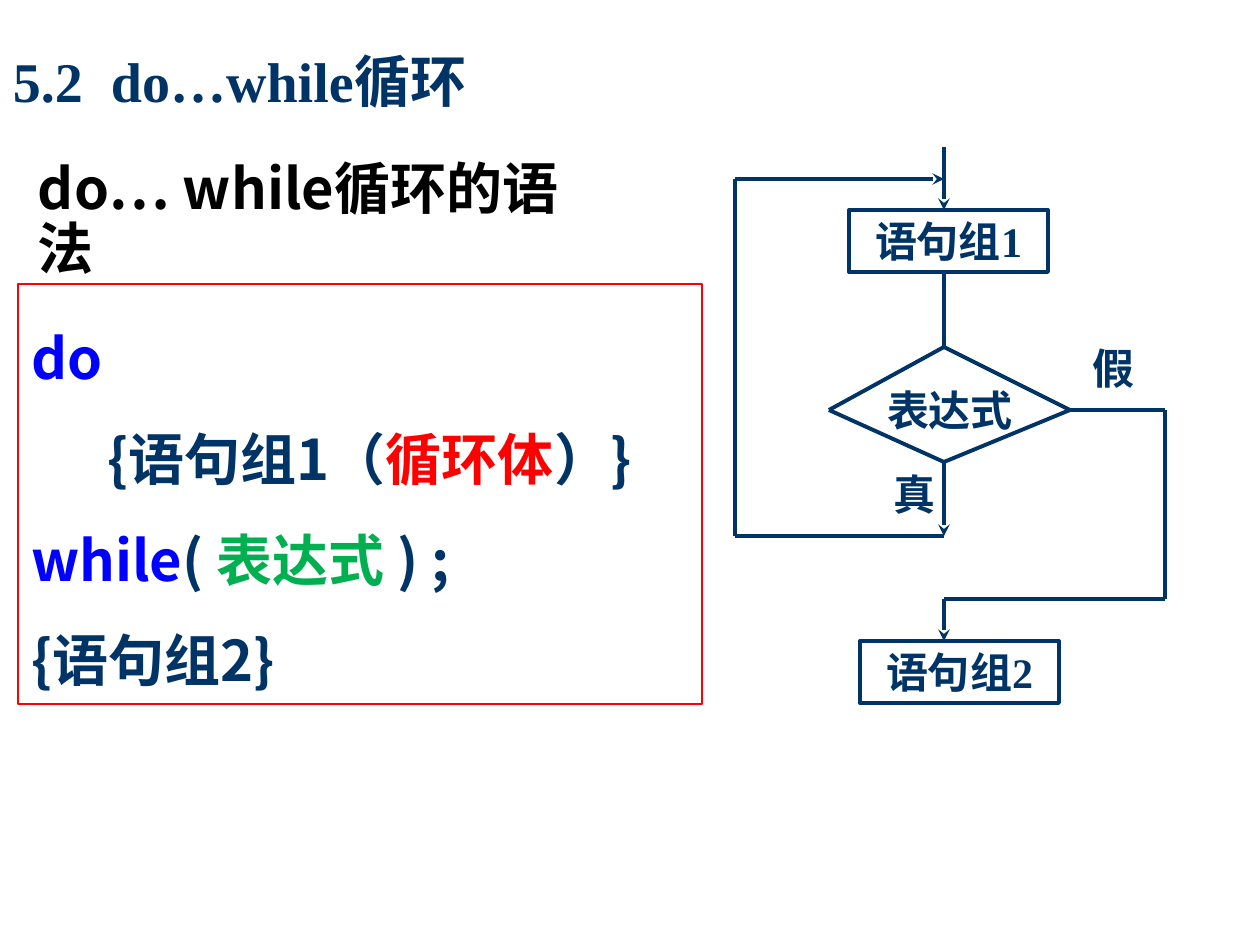
from lxml import etree
from pptx import Presentation
from pptx.dml.color import RGBColor
from pptx.enum.shapes import MSO_CONNECTOR, MSO_SHAPE
from pptx.enum.text import MSO_ANCHOR, MSO_AUTO_SIZE, PP_ALIGN
from pptx.oxml.ns import qn
from pptx.util import Emu, Pt

STRAIGHT = MSO_CONNECTOR.STRAIGHT
RECTANGLE = MSO_SHAPE.RECTANGLE
TOP, BOTTOM = MSO_ANCHOR.TOP, MSO_ANCHOR.BOTTOM
GROW = MSO_AUTO_SIZE.SHAPE_TO_FIT_TEXT
NO_RESIZE = MSO_AUTO_SIZE.NONE
LEFT, CENTER = PP_ALIGN.LEFT, PP_ALIGN.CENTER
SCALE = 914400 / 126
NAVY, BLUE, RED, GREEN, BLACK = "003366", "0000FF", "FF0000", "00B050", "000000"
SANS, SERIF = "Noto Sans CJK SC", "Times New Roman"


def px(length):
    return Emu(round(length * SCALE))


def color(value):
    return RGBColor.from_string(value)


def write(shape, lines, size=32, font=SANS, align=LEFT, spacing=1.0,
          anchor=TOP, inset=(13, 6), auto_size=NO_RESIZE):
    frame = shape.text_frame
    frame.word_wrap = True
    frame.auto_size = auto_size
    frame.vertical_anchor = anchor
    frame.margin_left = frame.margin_right = px(inset[0])
    frame.margin_top = frame.margin_bottom = px(inset[1])
    for index, line in enumerate(lines):
        paragraph = frame.add_paragraph() if index else frame.paragraphs[0]
        paragraph.alignment = align
        paragraph.line_spacing = spacing
        for text, text_color in line:
            run = paragraph.add_run()
            run.text = text
            run.font.name = font
            run.font.size = Pt(size)
            run.font.bold = True
            run.font.color.rgb = color(text_color)
            east_asian = etree.SubElement(run.font._element, qn("a:ea"))
            east_asian.set("typeface", SANS)


class SlideBuilder:
    label_style = {"size": 24, "font": SERIF, "spacing": 1.1,
                   "inset": (2, 1), "auto_size": GROW}

    def __init__(self, slide):
        self.slide = slide

    def text(self, box, lines, **style):
        shape = self.slide.shapes.add_textbox(*map(px, box))
        write(shape, lines, **style)

    def label(self, box, text, align=LEFT):
        self.text(box, [[(text, NAVY)]], align=align, **self.label_style)

    def box(self, box, lines, line_color, line_width, **style):
        shape = self.slide.shapes.add_shape(RECTANGLE, *map(px, box))
        shape.shadow.inherit = False
        shape.fill.background()
        shape.line.color.rgb = color(line_color)
        shape.line.width = Pt(line_width)
        write(shape, lines, **style)

    def step(self, left, top, text):
        self.box((left, top, 199, 62), [[(text, NAVY)]], NAVY, 2.25,
                 align=CENTER, **self.label_style)

    def line(self, start, end, arrow=False):
        connector = self.slide.shapes.add_connector(
            STRAIGHT, *map(px, (*start, *end)))
        connector.line.color.rgb = color(NAVY)
        connector.line.width = Pt(2.25)
        if arrow:
            outline = connector.line._get_or_add_ln()
            etree.SubElement(outline, qn("a:tailEnd")).set("type", "stealth")
        etree.SubElement(connector._element.spPr, qn("a:effectLst"))

    def path_through(self, points, arrow=False):
        for index, (start, end) in enumerate(zip(points, points[1:])):
            self.line(start, end, arrow and index == len(points) - 2)


def main():
    presentation = Presentation()
    presentation.slide_width = px(1260)
    presentation.slide_height = px(945)
    slide = presentation.slides.add_slide(presentation.slide_layouts[6])
    builder = SlideBuilder(slide)

    builder.text((0, 20, 552, 101), [[("5.2  do…while循环", NAVY)]],
                 font=SERIF, spacing=0.9, anchor=BOTTOM)
    builder.text((25, 155, 572, 63), [[("do… while循环的语法", BLACK)]],
                 spacing=0.9)
    syntax = [
        [("do", BLUE)],
        [("      {语句组1（", NAVY), ("循环体", RED), ("）}", NAVY)],
        [("while", BLUE), ("( ", NAVY), ("表达式 ", GREEN), (") ;", NAVY)],
        [("{语句组2}", NAVY)],
    ]
    builder.box((18, 284, 684, 420), syntax, RED, 0.75,
                spacing=1.5, auto_size=GROW)

    axis, middle = 944, 410
    top, right, bottom, left = (
        (axis, 347), (1070, middle), (axis, 462), (829, middle))
    builder.path_through([top, right, bottom, left, top])
    builder.label((871, 378, 158, 58), "表达式", align=CENTER)
    builder.step(849, 210, "语句组1")
    builder.step(860, 641, "语句组2")
    builder.label((892, 462, 63, 58), "真")
    builder.label((1091, 336, 105, 58), "假")

    builder.line((axis, 147), (axis, 210), arrow=True)
    builder.line((axis, 273), top)
    builder.line(bottom, (axis, 536), arrow=True)
    builder.path_through([(axis, 536), (735, 536), (735, 179), (axis, 179)],
                         arrow=True)
    builder.path_through([right, (1165, middle), (1165, 599), (axis, 599),
                          (axis, 641)], arrow=True)
    presentation.save("out.pptx")


if __name__ == "__main__":
    main()
